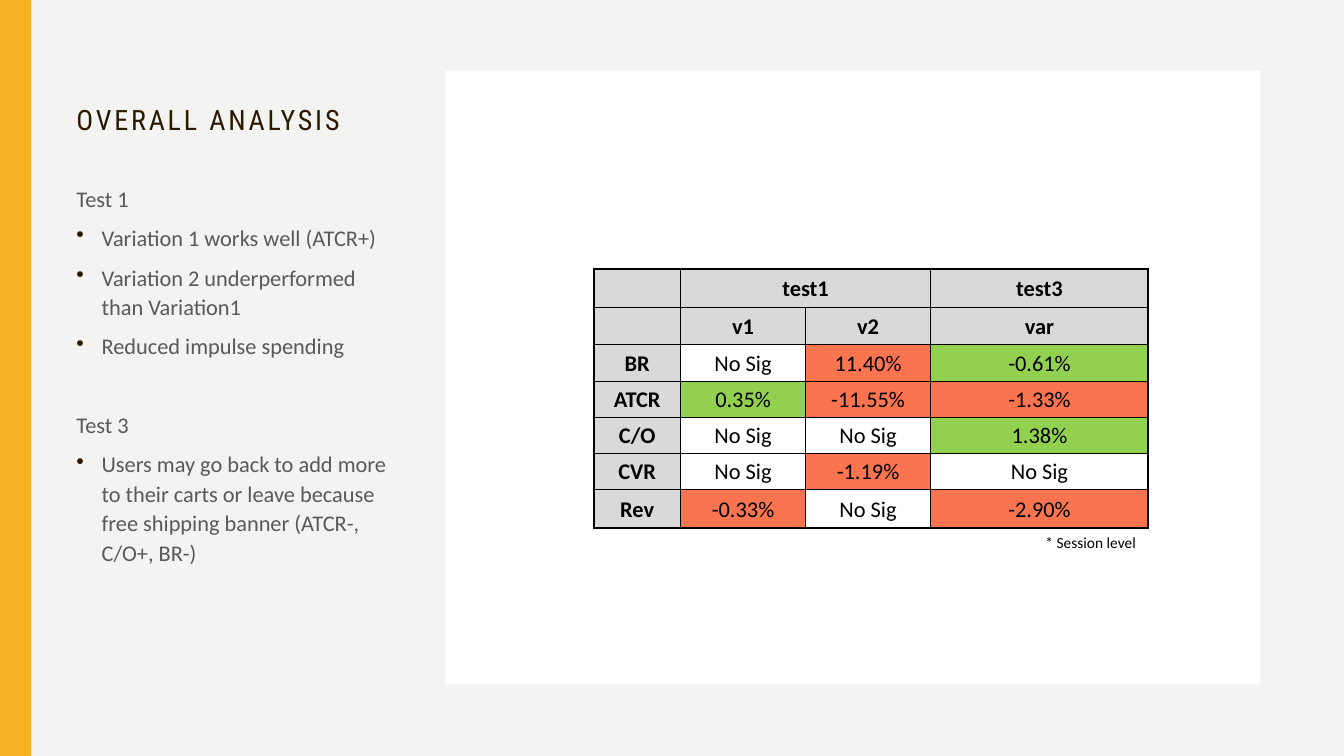
from lxml.etree import SubElement
from pptx import Presentation
from pptx.dml.color import RGBColor
from pptx.enum.shapes import MSO_SHAPE as Shape
from pptx.enum.text import MSO_ANCHOR as Anchor, PP_ALIGN as Align
from pptx.oxml.ns import qn
from pptx.util import Inches, Pt

PAPER = RGBColor(0xF3, 0xF3, 0xF2)
AMBER = RGBColor(0xF8, 0xB3, 0x23)
WHITE = RGBColor(0xFF, 0xFF, 0xFF)
BLACK = RGBColor(0x00, 0x00, 0x00)
BROWN = RGBColor(0x2A, 0x1A, 0x00)
SLATE = RGBColor(0x59, 0x59, 0x59)
GREY = RGBColor(0xD9, 0xD9, 0xD9)
GREEN = RGBColor(0x92, 0xD0, 0x50)
CORAL = RGBColor(0xFA, 0x74, 0x50)

WIDTH, HEIGHT = 13.33, 7.5
STRIPE_WIDTH = 0.31
SIDEBAR = (0.66, 0.42, 3.4, 6.37)
PANEL = (4.42, 0.7, 8.08, 6.09)
TITLE_HEIGHT, BODY_OFFSET = 0.98, 1.34
TABLE_OFFSET = (1.47, 1.97)
COLUMN_WIDTHS = [0.86, 1.24, 1.24, 2.16]
ROW_HEIGHTS = [0.38, 0.37, 0.36, 0.36, 0.36, 0.36, 0.38]
HEADER_ROWS = 2
THIN, THICK = 0.5, 1.5

FINDINGS = [
    ("Test 1", [
        "Variation 1 works well (ATCR+)",
        "Variation 2 underperformed than Variation1",
        "Reduced impulse spending",
    ]),
    ("Test 3", [
        "Users may go back to add more to their carts or leave because "
        "free shipping banner (ATCR-, C/O+, BR-)",
    ]),
]

RESULTS = [
    [("", GREY), ("test1", GREY), ("", GREY), ("test3", GREY)],
    [("", GREY), ("v1", GREY), ("v2", GREY), ("var", GREY)],
    [("BR", GREY), ("No Sig", WHITE), ("11.40%", CORAL), ("-0.61%", GREEN)],
    [("ATCR", GREY), ("0.35%", GREEN), ("-11.55%", CORAL), ("-1.33%", CORAL)],
    [("C/O", GREY), ("No Sig", WHITE), ("No Sig", WHITE), ("1.38%", GREEN)],
    [("CVR", GREY), ("No Sig", WHITE), ("-1.19%", CORAL), ("No Sig", WHITE)],
    [("Rev", GREY), ("-0.33%", CORAL), ("No Sig", WHITE), ("-2.90%", CORAL)],
]


def add_block(page, box, color):
    block = page.shapes.add_shape(Shape.RECTANGLE, *map(Inches, box))
    block.shadow.inherit = False
    block.fill.solid()
    block.fill.fore_color.rgb = color
    block.line.fill.background()


def add_frame(page, box, anchor=Anchor.TOP):
    frame = page.shapes.add_textbox(*map(Inches, box)).text_frame
    frame.word_wrap = True
    frame.vertical_anchor = anchor
    return frame


def style(para, size, color, name="Calibri", bold=False):
    para.font.size = Pt(size)
    para.font.name = name
    para.font.bold = bold
    para.font.color.rgb = color


def add_bullet(para):
    settings = para._p.get_or_add_pPr()
    settings.set("marL", str(Inches(0.25)))
    settings.set("indent", str(-Inches(0.25)))
    color = settings.makeelement(qn("a:buClr"))
    SubElement(color, qn("a:srgbClr"), val=str(BROWN))
    mark = settings.makeelement(qn("a:buChar"), {"char": "•"})
    defaults = settings.find(qn("a:defRPr"))
    defaults.addprevious(color)
    defaults.addprevious(mark)


def draw_sidebar(page, box):
    left, top, width, height = box
    title = add_frame(page, (left, top, width, TITLE_HEIGHT), Anchor.BOTTOM)
    para = title.paragraphs[0]
    span = para.add_run()
    span.text = "OVERALL ANALYSIS"
    span._r.get_or_add_rPr().set("spc", "200")
    para.line_spacing = 0.9
    style(para, 20, BROWN, "Roboto Condensed")

    body = add_frame(page, (left, top + BODY_OFFSET, width, height - BODY_OFFSET))
    lines = [(text, level, group > 0 and level == 0)
             for group, (heading, points) in enumerate(FINDINGS)
             for level, text in [(0, heading)] + [(1, point) for point in points]]
    for index, (text, level, opens_group) in enumerate(lines):
        para = body.add_paragraph() if index else body.paragraphs[0]
        para.text = text
        para.line_spacing = 1.1
        para.space_before = Pt(35 if opens_group else 7)
        style(para, 16, SLATE)
        if level:
            add_bullet(para)


def set_borders(cell, widths):
    settings = cell._tc.get_or_add_tcPr()
    for side, width in zip("LRTB", widths):
        line = SubElement(settings, qn(f"a:ln{side}"), w=str(Pt(width)))
        fill = SubElement(line, qn("a:solidFill"))
        SubElement(fill, qn("a:srgbClr"), val=str(BLACK))


def draw_results(page, left, top):
    rows, columns = len(ROW_HEIGHTS), len(COLUMN_WIDTHS)
    box = (left, top, sum(COLUMN_WIDTHS), sum(ROW_HEIGHTS))
    table = page.shapes.add_table(rows, columns, *map(Inches, box)).table
    table.first_row = table.horz_banding = False
    for column, width in zip(table.columns, COLUMN_WIDTHS):
        column.width = Inches(width)
    for row, height in zip(table.rows, ROW_HEIGHTS):
        row.height = Inches(height)
    for r, entries in enumerate(RESULTS):
        for c, (text, color) in enumerate(entries):
            cell = table.cell(r, c)
            edges = (c == 0, c == columns - 1, r == 0, r == rows - 1)
            set_borders(cell, [THICK if edge else THIN for edge in edges])
            cell.fill.solid()
            cell.fill.fore_color.rgb = color
            cell.margin_left = cell.margin_right = cell.margin_top = Inches(0.01)
            cell.margin_bottom = 0
            cell.vertical_anchor = Anchor.MIDDLE
            para = cell.text_frame.paragraphs[0]
            para.text = text
            para.alignment = Align.CENTER
            style(para, 16, BLACK, bold=r < HEADER_ROWS or c == 0)
    table.cell(0, 1).merge(table.cell(0, 2))
    return left + box[2], top + box[3]


def draw_panel(page, box):
    add_block(page, box, WHITE)
    right, bottom = draw_results(page, box[0] + TABLE_OFFSET[0], box[1] + TABLE_OFFSET[1])
    note = add_frame(page, (right - 1.12, bottom, 1.12, 0.29))
    note.word_wrap = False
    note.paragraphs[0].text = "* Session level"
    style(note.paragraphs[0], 11, BLACK)


def main():
    deck = Presentation()
    deck.slide_width, deck.slide_height = Inches(WIDTH), Inches(HEIGHT)
    page = deck.slides.add_slide(deck.slide_layouts[6])
    page.background.fill.solid()
    page.background.fill.fore_color.rgb = PAPER
    add_block(page, (0, 0, STRIPE_WIDTH, HEIGHT), AMBER)
    draw_sidebar(page, SIDEBAR)
    draw_panel(page, PANEL)
    deck.save("out.pptx")


if __name__ == "__main__":
    main()
